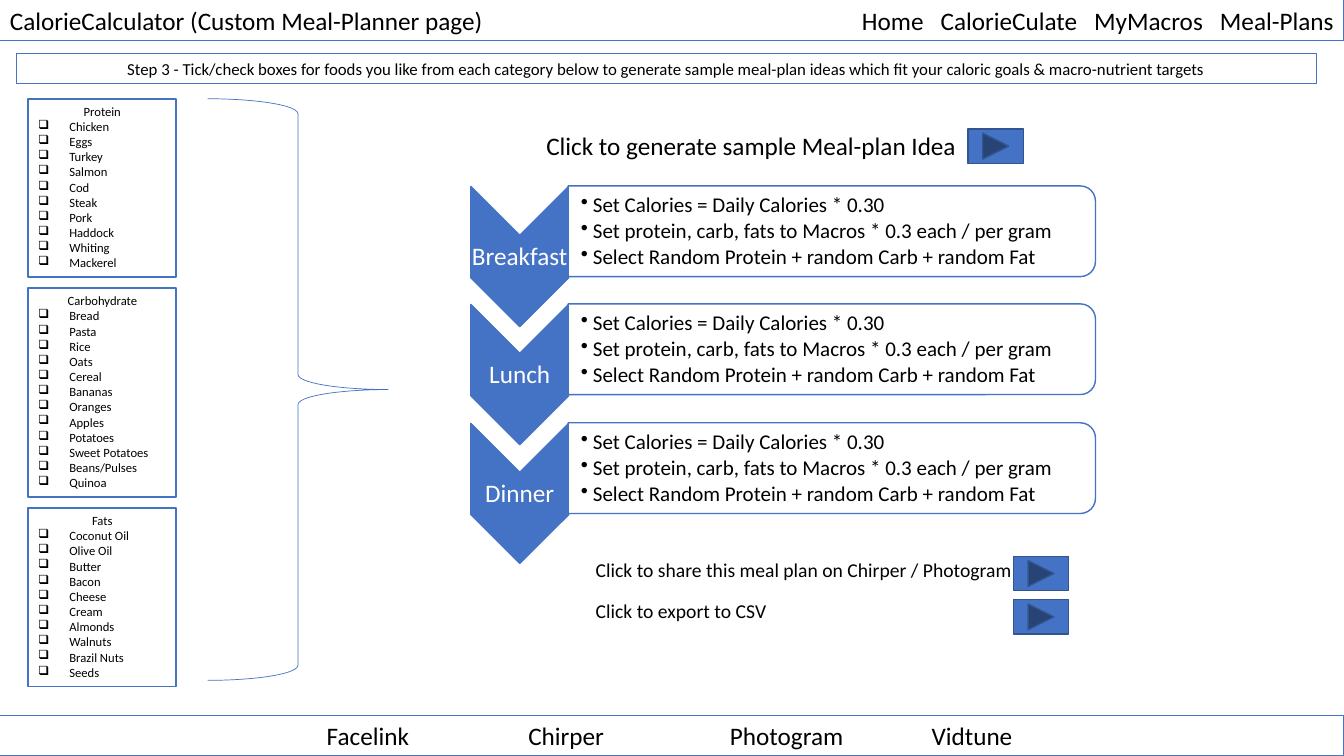
import pptx
import pptx.dml.color
import pptx.enum.shapes
import pptx.enum.text
import pptx.oxml.ns
import pptx.util
from lxml import etree

PX = 9144
BLUE = pptx.dml.color.RGBColor(0x44, 0x72, 0xC4)
DARK_BLUE = pptx.dml.color.RGBColor(0x32, 0x54, 0x91)
BLACK = pptx.dml.color.RGBColor(0, 0, 0)
WHITE = pptx.dml.color.RGBColor(255, 255, 255)
SHAPE = pptx.enum.shapes.MSO_SHAPE
ALIGN = pptx.enum.text.PP_ALIGN
ANCHOR = pptx.enum.text.MSO_ANCHOR
FIT = pptx.enum.text.MSO_AUTO_SIZE

FOODS = {
    "Protein": ["Chicken", "Eggs", "Turkey", "Salmon", "Cod", "Steak", "Pork",
                "Haddock", "Whiting", "Mackerel"],
    "Carbohydrate": ["Bread", "Pasta", "Rice", "Oats", "Cereal", "Bananas", "Oranges",
                     "Apples", "Potatoes", "Sweet Potatoes", "Beans/Pulses", "Quinoa"],
    "Fats": ["Coconut Oil", "Olive Oil", "Butter", "Bacon", "Cheese", "Cream",
             "Almonds", "Walnuts", "Brazil Nuts", "Seeds"],
}
MEALS = ["Breakfast", "Lunch", "Dinner"]
MEAL_RULES = [
    "Set Calories = Daily Calories * 0.30",
    "Set protein, carb, fats to Macros * 0.3 each / per gram",
    "Select Random Protein + random Carb + random Fat",
]


def px(length):
    """Turn whole px into EMU."""
    return pptx.util.Emu(length * PX)


def apply(target, values):
    """Set each named attribute on the target."""
    for name, value in values.items():
        setattr(target, name, value)


def add_text(page, box, lines, size, color=BLACK, outline=None, frame=None, para_format=None):
    """Add a text box with one paragraph per line and return its text frame."""
    shape = page.shapes.add_textbox(*map(px, box))
    if outline:
        shape.line.color.rgb = BLUE
        shape.line.width = pptx.util.Pt(outline)
    text = shape.text_frame
    apply(text, {"word_wrap": True, "auto_size": FIT.SHAPE_TO_FIT_TEXT, **(frame or {})})
    for index, line in enumerate(lines):
        para = text.add_paragraph() if index else text.paragraphs[0]
        apply(para, para_format or {})
        span = para.add_run()
        span.text = line
        apply(span.font, {"name": "Calibri", "size": pptx.util.Pt(size)})
        span.font.color.rgb = color
    return text


def add_bullet(para, char, indent):
    """Give a paragraph a bullet and a hanging indent."""
    properties = para._p.get_or_add_pPr()
    properties.set("marL", str(px(indent)))
    properties.set("indent", str(px(-indent)))
    etree.SubElement(properties, pptx.oxml.ns.qn("a:buChar")).set("char", char)


def add_shape(page, kind, box, fill, line, width, turned=False):
    """Add a preset shape that covers the box, turned a quarter if asked."""
    left, top, wide, high = box
    if turned:
        left, top = left + (wide - high) // 2, top + (high - wide) // 2
        wide, high = high, wide
    shape = page.shapes.add_shape(kind, *map(px, (left, top, wide, high)))
    shape.shadow.inherit = False
    shape.rotation = 90 if turned else 0
    if fill is None:
        shape.fill.background()
    else:
        shape.fill.solid()
        shape.fill.fore_color.rgb = fill
    shape.line.color.rgb = line
    shape.line.width = pptx.util.Pt(width)
    return shape


def add_header(page, box):
    """Place the page title and the menu in one bar."""
    for line, side in (
        ("Home   CalorieCulate   MyMacros   Meal-Plans", ALIGN.RIGHT),
        ("CalorieCalculator (Custom Meal-Planner page)", ALIGN.LEFT),
    ):
        add_text(page, box, [line], 18, outline=0.75, para_format={"alignment": side})


def add_footer(page, box):
    """Place the social links at equal tab stops."""
    names = ["Facelink", "Chirper", "Photogram", "Vidtune"]
    text = add_text(page, box, ["\t".join(names)], 18, outline=0.75,
                    frame={"margin_left": px(324)})
    properties = text.paragraphs[0]._p.get_or_add_pPr()
    tabs = etree.SubElement(properties, pptx.oxml.ns.qn("a:tabLst"))
    for index in range(1, len(names)):
        tab = etree.SubElement(tabs, pptx.oxml.ns.qn("a:tab"))
        tab.set("pos", str(px(200 * index)))
        tab.set("algn", "l")


def add_food_lists(page, box):
    """Stack the food checklists and gather them with a brace."""
    left, top, wide, high = box
    list_top = top
    for category, foods in FOODS.items():
        list_high = 27 + 15 * len(foods)
        text = add_text(page, (left, list_top, 147, list_high), [category, *foods], 9,
                        outline=1.25)
        text.paragraphs[0].alignment = ALIGN.CENTER
        for para in text.paragraphs[1:]:
            add_bullet(para, "❑", 31)
        list_top += list_high + 11
    add_shape(page, SHAPE.RIGHT_BRACE, (left + 178, top, wide - 178, high), None, BLUE, 0.5)


def add_meal(page, box, meal):
    """Place a meal chevron and the panel with its rules."""
    left, top, wide, high = box
    inset = px(1)
    frame = {"vertical_anchor": ANCHOR.MIDDLE, "auto_size": FIT.NONE, "margin_left": inset,
             "margin_top": inset, "margin_right": inset, "margin_bottom": inset}
    add_shape(page, SHAPE.CHEVRON, (left, top, 97, high), BLUE, BLUE, 1, turned=True)
    add_text(page, (left, top + 49, 97, 42), [meal], 18, WHITE, frame=frame,
             para_format={"alignment": ALIGN.CENTER, "line_spacing": 0.9})
    panel = add_shape(page, SHAPE.ROUND_2_SAME_RECTANGLE, (left + 97, top, wide - 97, 90),
                      WHITE, BLUE, 1, turned=True)
    color = panel.fill._xPr.find(".//" + pptx.oxml.ns.qn("a:srgbClr"))
    etree.SubElement(color, pptx.oxml.ns.qn("a:alpha")).set("val", "90000")
    text = add_text(page, (left + 97, top + 4, wide - 101, 82), MEAL_RULES, 15,
                    frame={**frame, "margin_left": px(12)},
                    para_format={"line_spacing": 0.9, "space_after": pptx.util.Pt(2.25)})
    for para in text.paragraphs:
        add_bullet(para, "•", 12)


def add_action(page, box, label, size, button_left, button_top):
    """Place a label and its forward button at an offset inside the box."""
    left, top = box[:2]
    add_text(page, box, [label], size)
    add_shape(page, SHAPE.ACTION_BUTTON_FORWARD_OR_NEXT,
              (left + button_left, top + button_top, 55, 34), BLUE, DARK_BLUE, 1)


def add_planner_page(deck):
    """Build the meal-planner page."""
    page = deck.slides.add_slide(deck.slide_layouts[6])
    add_header(page, (0, 0, 1333, 40))
    add_text(page, (16, 53, 1290, 30), [
        "Step 3 - Tick/check boxes for foods you like from each category below to generate "
        "sample meal-plan ideas which fit your caloric goals & macro-nutrient targets"
    ], 12, outline=0.75, para_format={"alignment": ALIGN.CENTER})
    add_food_lists(page, (28, 98, 357, 577))
    add_action(page, (532, 124, 607, 40), "Click to generate sample Meal-plan Idea", 18, 428, 4)
    for index, meal in enumerate(MEALS):
        add_meal(page, (467, 185 + 235 * index // 2, 620, 139), meal)
    add_action(page, (581, 549, 607, 34),
               "Click to share this meal plan on Chirper / Photogram", 14, 424, 3)
    add_action(page, (581, 589, 607, 34), "Click to export to CSV", 14, 424, 6)
    add_footer(page, (0, 710, 1333, 40))


def main():
    """Create and save the deck."""
    deck = pptx.Presentation()
    apply(deck, {"slide_width": px(1333), "slide_height": px(750)})
    add_planner_page(deck)
    deck.save("out.pptx")


if __name__ == "__main__":
    main()
